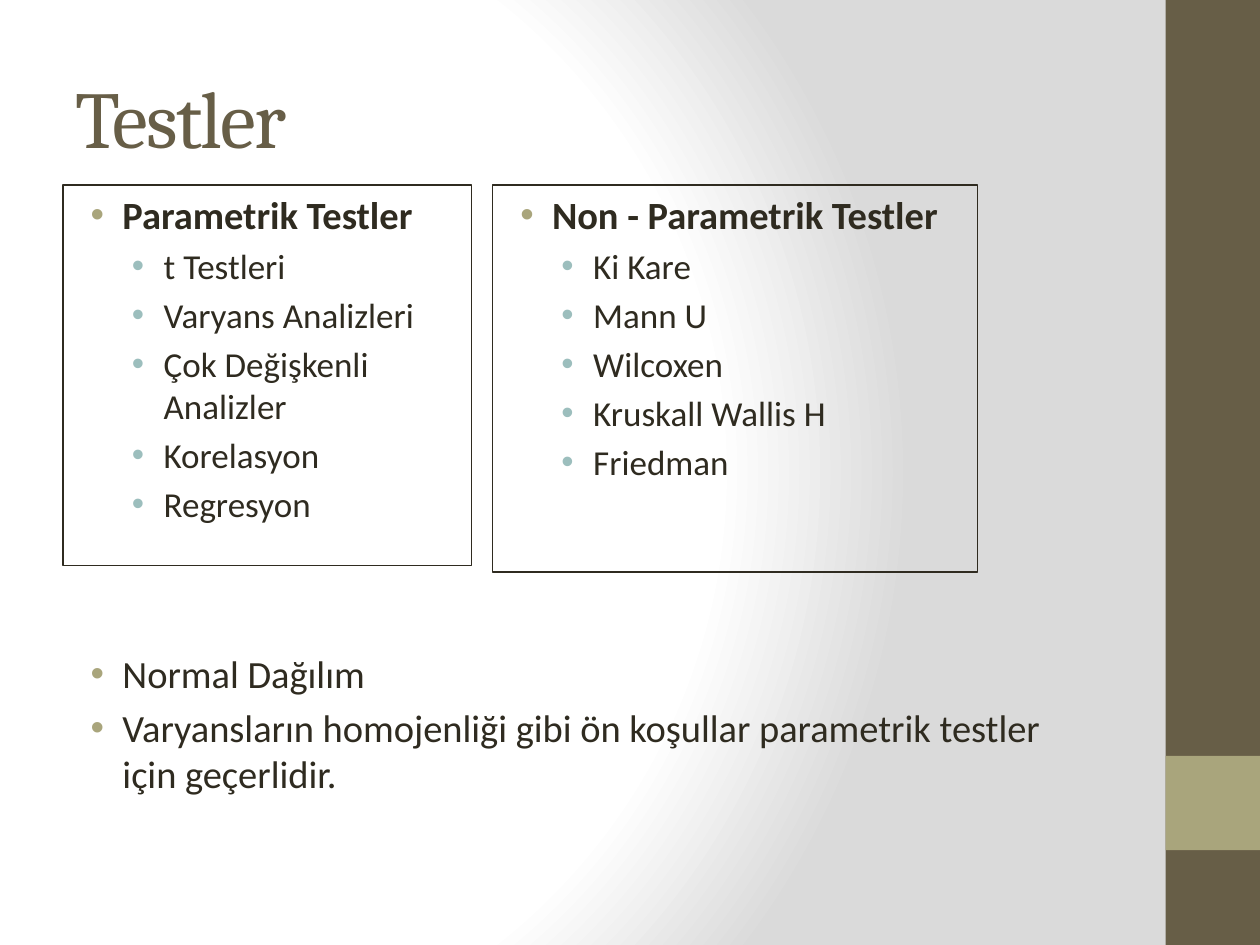
from dataclasses import dataclass

from lxml import etree
from pptx import Presentation
from pptx import util as u
from pptx.dml.color import RGBColor
from pptx.enum import shapes, text
from pptx.oxml import parse_xml
from pptx.oxml.ns import nsdecls, qn

COLORS = {
    "brown": "675E47",
    "olive": "A9A57C",
    "teal": "9CBEBD",
    "ink": "2F2B20",
    "white": "FFFFFF",
    "grey": "DADADA",
}


@dataclass(frozen=True)
class Level:
    size: int
    indent: float
    bullet: str


@dataclass(frozen=True)
class Area:
    left: float
    top: float
    width: float
    height: float

    def lengths(self) -> list[u.Cm]:
        return [u.Cm(v) for v in (self.left, self.top, self.width, self.height)]


@dataclass(frozen=True)
class TestGroup:
    area: Area
    heading: str
    tests: tuple[str, ...]


HANGING = 0.64
MAIN = Level(22, 0.95, "olive")
SUB = Level(20, 1.78, "teal")

GROUPS = (
    TestGroup(
        Area(1.27, 3.73, 8.23, 7.67),
        "Parametrik Testler",
        ("t Testleri", "Varyans Analizleri", "Çok Değişkenli Analizler",
         "Korelasyon", "Regresyon"),
    ),
    TestGroup(
        Area(9.93, 3.73, 9.78, 7.8),
        "Non - Parametrik Testler",
        ("Ki Kare", "Mann U", "Wilcoxen", "Kruskall Wallis H", "Friedman"),
    ),
)
CONDITIONS = (
    "Normal Dağılım",
    "Varyansların homojenliği gibi ön koşullar parametrik testler için geçerlidir.",
)


def rgb(name: str) -> RGBColor:
    return RGBColor.from_string(COLORS[name])


def set_background(slide) -> None:
    """Fill the slide with a radial gradient centred on the left."""
    stops = "".join(
        f'<a:gs pos="{pos * 1000}"><a:srgbClr val="{COLORS[name]}"/></a:gs>'
        for pos, name in ((0, "white"), (75, "white"), (100, "grey"))
    )
    background = parse_xml(
        f'<p:bg {nsdecls("p", "a")}><p:bgPr><a:gradFill rotWithShape="1">'
        f'<a:gsLst>{stops}</a:gsLst><a:path path="circle">'
        '<a:fillToRect l="20000" t="50000" r="100000" b="50000"/></a:path>'
        '</a:gradFill><a:effectLst/></p:bgPr></p:bg>'
    )
    slide.element.cSld.insert(0, background)


def add_band(slide, area: Area, color: str) -> None:
    band = slide.shapes.add_shape(shapes.MSO_SHAPE.RECTANGLE, *area.lengths())
    band.shadow.inherit = False
    band.fill.solid()
    band.fill.fore_color.rgb = rgb(color)
    band.line.fill.background()


def add_text_area(slide, area: Area):
    box = slide.shapes.add_textbox(*area.lengths())
    box.text_frame.word_wrap = True
    return box


def add_title(slide, title: str) -> None:
    frame = add_text_area(slide, Area(1.27, 0.76, 21.16, 3.18)).text_frame
    frame.vertical_anchor = text.MSO_ANCHOR.MIDDLE
    paragraph = frame.paragraphs[0]
    run = paragraph.add_run()
    run.text = title
    run.font.name = "Cambria"
    run.font.size = u.Pt(46)
    run.font.color.rgb = rgb("brown")
    run.font._element.set("spc", "-100")


def write_bullet(paragraph, wording: str, level: Level, bold: bool = False) -> None:
    paragraph.text = wording
    paragraph.space_before = u.Pt(level.size * 0.2)
    paragraph.font.name = "Calibri"
    paragraph.font.size = u.Pt(level.size)
    paragraph.font.bold = bold
    paragraph.font.color.rgb = rgb("ink")
    properties = paragraph._p.get_or_add_pPr()
    properties.set("marL", str(u.Cm(level.indent)))
    properties.set("indent", str(-u.Cm(HANGING)))
    bullet_parts = (
        f'<a:buClr {nsdecls("a")}><a:srgbClr val="{COLORS[level.bullet]}"/></a:buClr>',
        f'<a:buFont {nsdecls("a")} typeface="Arial"/>',
        f'<a:buChar {nsdecls("a")} char="•"/>',
    )
    run_defaults = properties.find(qn("a:defRPr"))
    for part in bullet_parts:
        run_defaults.addprevious(parse_xml(part))
    if level is SUB:
        paragraph.level = 1


def next_paragraph(frame, index: int):
    return frame.add_paragraph() if index else frame.paragraphs[0]


def add_group(slide, group: TestGroup) -> None:
    box = add_text_area(slide, group.area)
    box.line.color.rgb = rgb("ink")
    box.line.width = u.Pt(0.75)
    write_bullet(box.text_frame.paragraphs[0], group.heading, MAIN, bold=True)
    for test in group.tests:
        write_bullet(box.text_frame.add_paragraph(), test, SUB)


def add_conditions(slide) -> None:
    frame = add_text_area(slide, Area(1.27, 12.98, 21.16, 5.13)).text_frame
    for index, condition in enumerate(CONDITIONS):
        write_bullet(next_paragraph(frame, index), condition, MAIN)


def main() -> None:
    presentation = Presentation()
    presentation.slide_width = u.Cm(25.4)
    presentation.slide_height = u.Cm(19.05)
    slide = presentation.slides.add_slide(presentation.slide_layouts[6])
    set_background(slide)
    add_band(slide, Area(23.5, 0, 1.9, 19.05), "brown")
    add_band(slide, Area(23.5, 15.24, 1.9, 1.9), "olive")
    add_title(slide, "Testler")
    for group in GROUPS:
        add_group(slide, group)
    add_conditions(slide)
    presentation.save("out.pptx")


if __name__ == "__main__":
    main()
